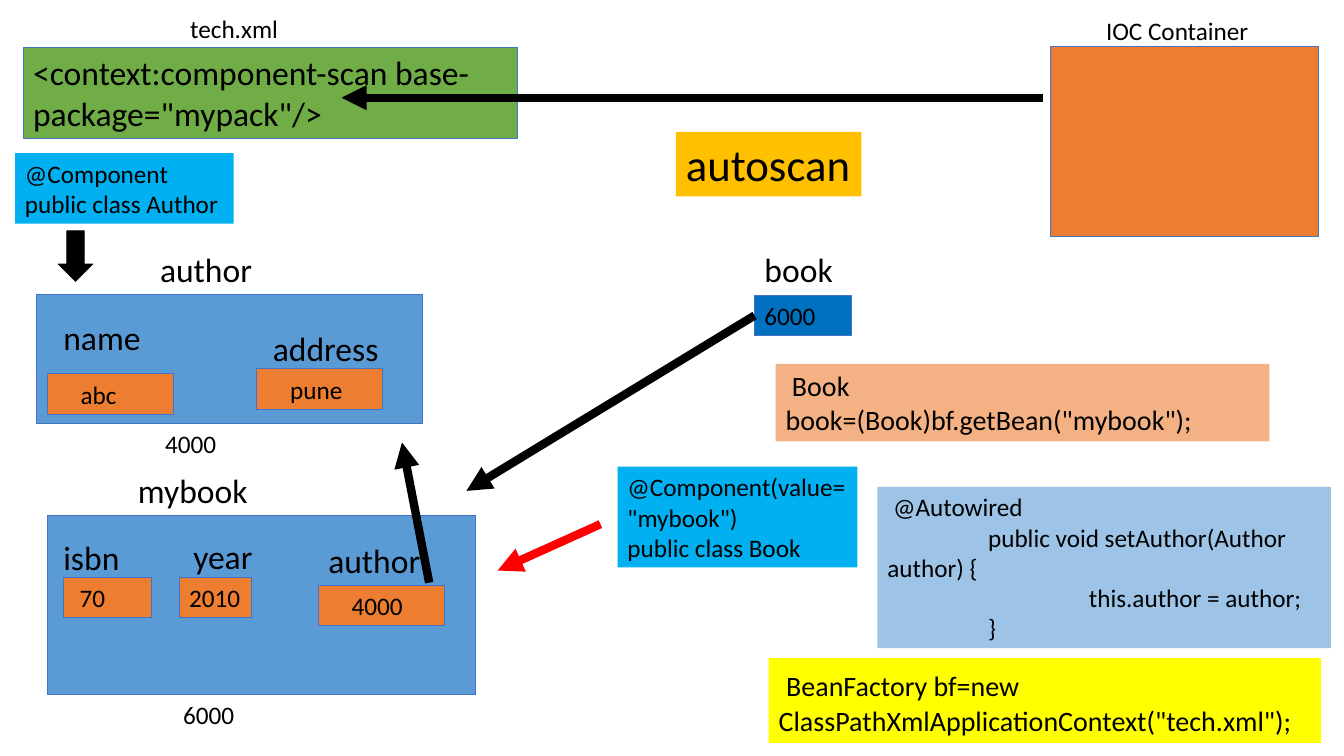
from lxml import etree
from pptx import Presentation
from pptx.dml.color import RGBColor
from pptx.enum import shapes, text
from pptx.oxml.ns import qn
from pptx.util import Inches, Pt

BLACK = RGBColor(0, 0, 0)
RED = RGBColor(255, 0, 0)
EDGE = RGBColor(0x44, 0x72, 0xC4)
BLUE = RGBColor(0x5B, 0x9B, 0xD5)
NAVY = RGBColor(0x00, 0x70, 0xC0)
CYAN = RGBColor(0x00, 0xB0, 0xF0)
PALE = RGBColor(0x9D, 0xC3, 0xE6)
GREEN = RGBColor(0x70, 0xAD, 0x47)
ORANGE = RGBColor(0xED, 0x7D, 0x31)
PEACH = RGBColor(0xF4, 0xB1, 0x83)
GOLD = RGBColor(0xFF, 0xC0, 0x00)
YELLOW = RGBColor(255, 255, 0)


def write(shape, lines, size, pad=0):
    """Fill in lines of text; pad is extra space on the left, in inches."""
    frame = shape.text_frame
    frame.word_wrap = True
    frame.vertical_anchor = text.MSO_ANCHOR.TOP
    frame.margin_left = Inches(0.1 + pad)
    frame.text = lines
    for para in frame.paragraphs:
        para.alignment = text.PP_ALIGN.LEFT
        para.font.name = "Calibri"
        para.font.size = Pt(size)
        para.font.color.rgb = BLACK


def label(slide, x, y, wide, words, size=24):
    high = 0.5 if size == 24 else 0.4
    box = slide.shapes.add_textbox(*map(Inches, (x, y, wide, high)))
    write(box, words, size)


def block(slide, box, fill, words="", size=18, edge=EDGE, pad=0,
          kind=shapes.MSO_SHAPE.RECTANGLE):
    shape = slide.shapes.add_shape(kind, *map(Inches, box))
    shape.shadow.inherit = False
    shape.fill.solid()
    shape.fill.fore_color.rgb = fill
    if edge is None:
        shape.line.fill.background()
    else:
        shape.line.color.rgb = edge
        shape.line.width = Pt(0.75)
    if words:
        write(shape, words, size, pad)
    return shape


def arrow(slide, start, end, color=BLACK):
    line = slide.shapes.add_connector(
        shapes.MSO_CONNECTOR.STRAIGHT, *map(Inches, start + end))
    line.line.color.rgb = color
    line.line.width = Pt(6)
    etree.SubElement(line.line._get_or_add_ln(), qn("a:tailEnd"), type="triangle")
    etree.SubElement(line._element.spPr, qn("a:effectLst"))
    return line


def config(slide, box):
    x, y, wide, high = box
    block(slide, box, GREEN, '<context:component-scan base-package="mypack"/>', 24)
    label(slide, x + 1.56, y - 0.39, 1.77, "tech.xml", 18)


def holder(slide, box):
    x, y, wide, high = box
    block(slide, box, ORANGE)
    label(slide, x + 0.45, y - 0.36, 1.77, "IOC Container", 18)
    block(slide, (x - 3.72, y + 0.85, 1.84, 0.64), GOLD, "autoscan", 32, None)
    arrow(slide, (x - 0.08, y + 0.51), (x - 7.04, y + 0.51))


def bean(slide, box, title, shift, place, mark, fields):
    """Object panel with title, address and (name, name at, value, value at, width, pad)."""
    x, y, wide, high = box
    block(slide, box, BLUE)
    label(slide, x + shift, y - 0.5, 1.35, title)
    label(slide, x + mark, y + high, 0.76, place, 18)
    for name, (nx, ny), value, (vx, vy), span, pad in fields:
        label(slide, x + nx, y + ny, 1.38, name)
        block(slide, (x + vx, y + vy, span, 0.4), ORANGE, value, pad=pad)


def variable(slide, box):
    x, y, wide, high = box
    label(slide, x, y - 0.51, wide, "book")
    cell = block(slide, box, NAVY, "6000")
    link = arrow(slide, (x, y + high / 2), (x - 2.86, y + 1.94))
    link.begin_connect(cell, 1)


def authortag(slide, box):
    x, y, wide, high = box
    block(slide, box, CYAN, "@Component\npublic class Author", edge=None)
    block(slide, (x + 0.43, y + 0.77, 0.34, 0.5), BLACK, edge=BLACK,
          kind=shapes.MSO_SHAPE.DOWN_ARROW)


def booktag(slide, box):
    x, y, wide, high = box
    block(slide, box, CYAN, '@Component(value="mybook")\npublic class Book', edge=None)
    arrow(slide, (x - 0.17, y + 0.57), (x - 1.19, y + 1.03), RED)


def setter(slide, box):
    code = block(slide, box, PALE, " @Autowired\npublic void setAuthor(Author author) {\n"
                 "this.author = author;\n}", edge=None)
    for para, step in zip(code.text_frame.paragraphs, (0, 1, 2, 1)):
        para._p.get_or_add_pPr().set("indent", str(Inches(step)))


def factory(slide, box):
    code = block(slide, box, YELLOW, " ", 20, None)
    para = code.text_frame.paragraphs[0]
    para.runs[0].font.size = Pt(24)
    para.add_run().text = 'BeanFactory bf=new ClassPathXmlApplicationContext("tech.xml");'


def main():
    deck = Presentation()
    deck.slide_width, deck.slide_height = Inches(13.34), Inches(7.5)
    slide = deck.slides.add_slide(deck.slide_layouts[6])
    config(slide, (0.23, 0.47, 4.91, 0.9))
    holder(slide, (10.43, 0.46, 2.66, 1.89))
    authortag(slide, (0.15, 1.52, 2.17, 0.7))
    bean(slide, (0.36, 2.92, 3.83, 1.28), "author", 1.13, "4000", 1.18, [
        ("name", (0.17, 0.17), "abc", (0.11, 0.79), 1.25, 0.23),
        ("address", (2.25, 0.28), "pune", (2.19, 0.74), 1.25, 0.23)])
    bean(slide, (0.47, 5.11, 4.25, 1.78), "mybook", 0.8, "6000", 1.25, [
        ("isbn", (0.06, 0.17), "70", (0.16, 0.62), 0.87, 0.06),
        ("year", (1.35, 0.16), "2010", (1.31, 0.62), 0.72, 0),
        ("author", (2.69, 0.2), "4000", (2.69, 0.7), 1.25, 0.23)])
    variable(slide, (7.49, 2.93, 0.96, 0.4))
    block(slide, (7.7, 3.61, 4.9, 0.77), PEACH,
          ' Book book=(Book)bf.getBean("mybook");', 20, None)
    booktag(slide, (6.13, 4.63, 2.38, 1))
    setter(slide, (8.71, 4.83, 4.5, 1.6))
    factory(slide, (7.63, 6.53, 5.48, 0.84))
    arrow(slide, (4.26, 5.78), (3.99, 4.39))
    deck.save("out.pptx")


if __name__ == "__main__":
    main()
